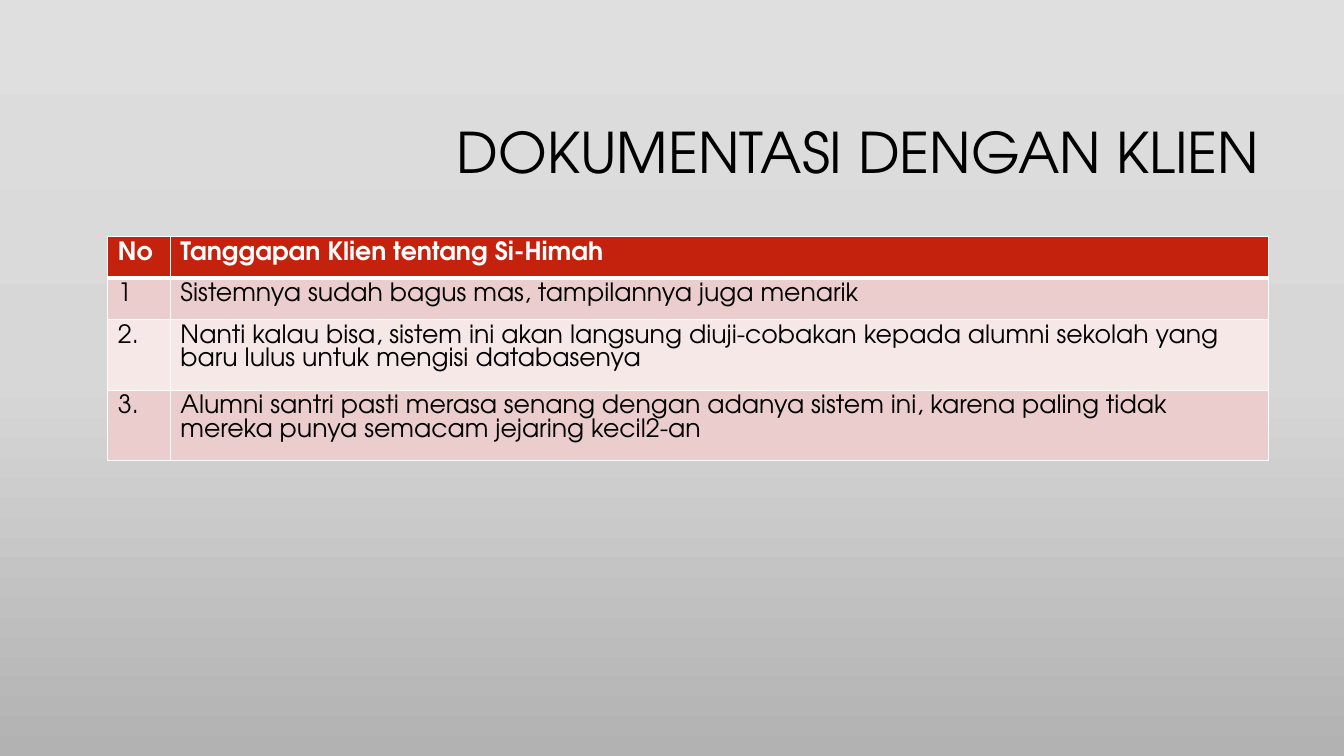
from copy import deepcopy

from lxml import etree
from pptx import Presentation
from pptx import util as u
from pptx.dml.color import RGBColor
from pptx.enum import text
from pptx.oxml import ns

FONT = "TeX Gyre Adventor"
WHITE, BLACK, RED = "FFFFFF", "000000", "C4220D"
BANDS = ["EACDCC", "F5E8E7"]
STOPS = [(0, "DFDFDF"), (0.5, "D7D7D7"), (1, "B2B2B2")]
WIDTHS = [0.62, 10.89]
ROW = 0.41
ROWS = [
    ("No", "Tanggapan Klien tentang Si-Himah"),
    ("1", "Sistemnya sudah bagus mas, tampilannya juga menarik"),
    ("2.", "Nanti kalau bisa, sistem ini akan langsung diuji-cobakan kepada "
           "alumni sekolah yang baru lulus untuk mengisi databasenya"),
    ("3.", "Alumni santri pasti merasa senang dengan adanya sistem ini, karena "
           "paling tidak mereka punya semacam jejaring kecil2-an"),
]


def tint(color, code):
    color.rgb = RGBColor.from_string(code)


def add_run(par, words, size, code, bold=False):
    run = par.add_run()
    run.text = words
    run.font.name = FONT
    run.font.size = u.Pt(size)
    run.font.bold = bold
    tint(run.font.color, code)


def paint_back(slide):
    fill = slide.background.fill
    fill.gradient()
    fill.gradient_angle = 270
    last = slide._element.findall(".//" + ns.qn("a:gs"))[-1]
    last.addnext(deepcopy(last))
    for stop, (place, code) in zip(fill.gradient_stops, STOPS):
        stop.position = place
        tint(stop.color, code)


def add_title(slide, words):
    box = slide.shapes.add_textbox(
        u.Inches(3.17), u.Inches(0.84), u.Inches(9.42), u.Inches(1.41))
    frame = box.text_frame
    frame.word_wrap = True
    frame.vertical_anchor = text.MSO_ANCHOR.MIDDLE
    par = frame.paragraphs[0]
    par.alignment = text.PP_ALIGN.RIGHT
    par.line_spacing = 0.9
    add_run(par, words, 40, BLACK)


def add_edges(cell, top, bottom):
    """Draw white cell borders; top and bottom widths are in points."""
    props = cell._tc.get_or_add_tcPr()
    edges = [("L", 1), ("R", 1), ("T", top), ("B", bottom)]
    for spot, (side, width) in enumerate(edges):
        line = etree.Element(ns.qn("a:ln" + side), w=str(u.Pt(width)))
        fill = etree.SubElement(line, ns.qn("a:solidFill"))
        etree.SubElement(fill, ns.qn("a:srgbClr"), val=WHITE)
        props.insert(spot, line)


def add_grid(slide):
    table = slide.shapes.add_table(
        len(ROWS), len(WIDTHS), u.Inches(1.07), u.Inches(2.35),
        u.Inches(sum(WIDTHS)), u.Inches(ROW * len(ROWS))).table
    table.horz_banding = False
    for col, width in zip(table.columns, WIDTHS):
        col.width = u.Inches(width)
    for i, row in enumerate(ROWS):
        table.rows[i].height = u.Inches(ROW)
        head = i == 0
        for j, words in enumerate(row):
            cell = table.cell(i, j)
            cell.fill.solid()
            tint(cell.fill.fore_color, RED if head else BANDS[(i - 1) % 2])
            add_edges(cell, 3 if i == 1 else 1, 3 if head else 1)
            add_run(cell.text_frame.paragraphs[0], words, 18,
                    WHITE if head else BLACK, head)


def main():
    deck = Presentation()
    deck.slide_width, deck.slide_height = u.Inches(13.33), u.Inches(7.5)
    slide = deck.slides.add_slide(deck.slide_layouts[6])
    paint_back(slide)
    add_title(slide, "DOKUMENTASI DENGAN KLIEN")
    add_grid(slide)
    deck.save("out.pptx")


if __name__ == "__main__":
    main()
